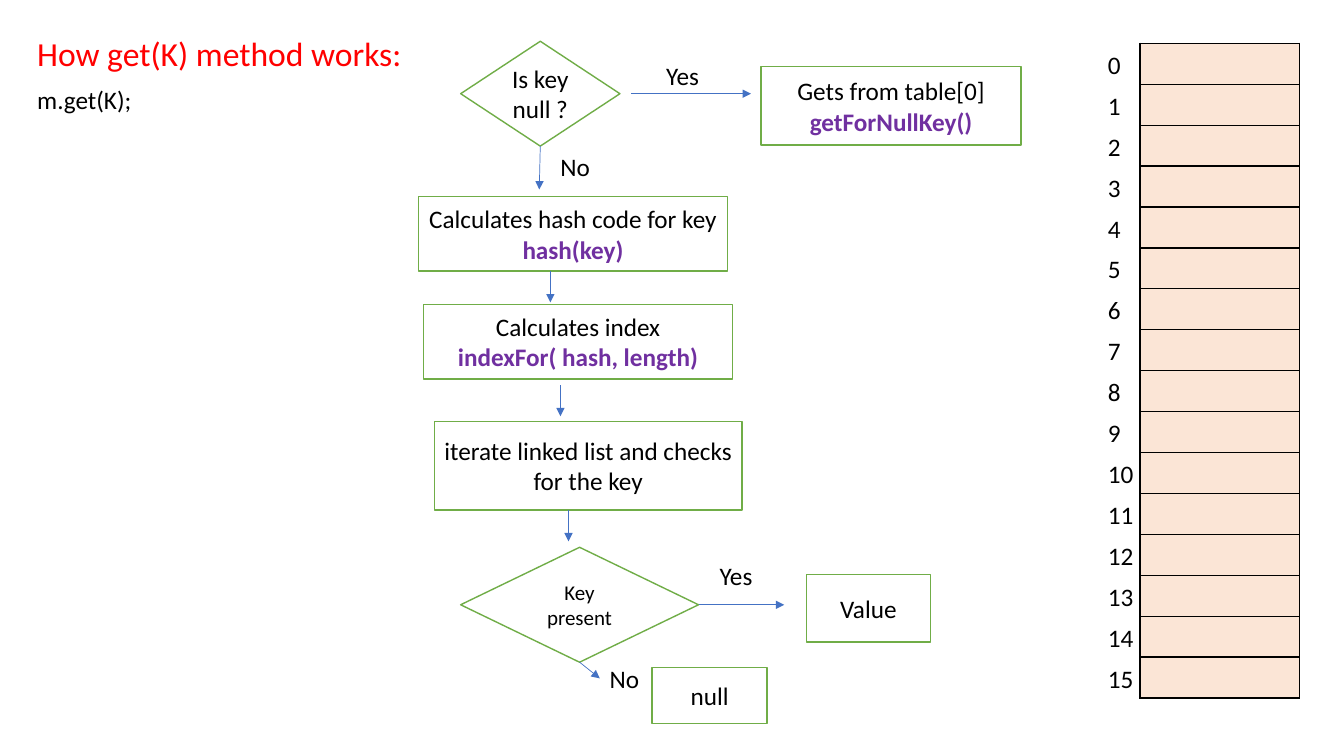
import pptx
import pptx.util
import pptx.dml.color
import pptx.enum.shapes
import pptx.enum.text
import pptx.oxml.ns
from lxml import etree

HUES = {"red": "FF0000", "ink": "000000", "call": "7030A0", "edge": "70AD47",
        "arrow": "4472C4", "page": "FFFFFF", "cell": "FBE5D6"}
COLS, ROWS = 133.33, 75
UNIT = pptx.util.Inches(0.1)
PLAIN = "{2D5ABB26-0587-4C30-8999-92F81FD0307C}"
KIND = pptx.enum.shapes.MSO_SHAPE
SIDE = pptx.enum.text.PP_ALIGN
qn = pptx.oxml.ns.qn


def grid(*cells):
    return [round(cell * UNIT) for cell in cells]


def rgb(name):
    return pptx.dml.color.RGBColor.from_string(HUES[name])


def write(frame, text, size=18, hue="ink", bold=False, align=SIDE.LEFT, lead=1, before=0):
    para = frame.paragraphs[0]
    if para.runs:
        para = frame.add_paragraph()
    para.alignment = align
    para.line_spacing = lead
    para.space_before = pptx.util.Pt(before)
    run = para.add_run()
    run.text = text
    font = run.font
    font.name, font.size, font.bold = "Calibri", pptx.util.Pt(size), bold
    font.color.rgb = rgb(hue)


def label(slide, box, text):
    frame = slide.shapes.add_textbox(*grid(*box)).text_frame
    frame.word_wrap = True
    write(frame, text)


def node(slide, kind, box, text, call=None, size=18):
    shape = slide.shapes.add_shape(kind, *grid(*box))
    shape.shadow.inherit = False
    shape.fill.solid()
    shape.fill.fore_color.rgb = rgb("page")
    shape.line.color.rgb = rgb("edge")
    shape.line.width = pptx.util.Pt(1)
    frame = shape.text_frame
    frame.word_wrap = True
    frame.vertical_anchor = pptx.enum.text.MSO_ANCHOR.MIDDLE
    write(frame, text, size=size, align=SIDE.CENTER)
    if call:
        write(frame, call, hue="call", bold=True, align=SIDE.CENTER)
    return shape


def arrow(slide, start, end, source=None, site=2):
    line = slide.shapes.add_connector(
        pptx.enum.shapes.MSO_CONNECTOR.STRAIGHT, *grid(*start, *end))
    if source:
        line.begin_connect(source, site)
    line.line.color.rgb = rgb("arrow")
    line.line.width = pptx.util.Pt(0.5)
    etree.SubElement(line.line._get_or_add_ln(), qn("a:tailEnd"), type="triangle")
    etree.SubElement(line._element.spPr, qn("a:effectLst"))


def head(slide, box):
    frame = slide.shapes.add_textbox(*grid(*box)).text_frame
    frame.word_wrap = True
    write(frame, "How get(K) method works:", size=24, hue="red", lead=0.9)
    write(frame, "m.get(K);", lead=0.9, before=10)


def flow(slide, box):
    left, top = box[:2]

    def at(x, y, *size):
        return (left + x, top + y, *size)

    test = node(slide, KIND.DIAMOND, at(4.2, 0, 15.8, 10.4), "Is key null ?")
    found = node(slide, KIND.DIAMOND, at(4.2, 50.2, 23.6, 11.4), "Key present", size=15)
    for place, text, call in [
        ((34, 2.5, 25.8, 7.8), "Gets from table[0]", "getForNullKey()"),
        ((0, 15.4, 30.7, 7.4), "Calculates hash code for key", "hash(key)"),
        ((0.5, 26.1, 30.7, 7.4), "Calculates index", "indexFor( hash, length)"),
        ((1.6, 37.7, 30.5, 8.8), "iterate linked list and checks for the key", None),
        ((38.5, 52.9, 12.3, 6.7), "Value", None),
        ((23.2, 62.1, 11.4, 5.6), "null", None),
    ]:
        node(slide, KIND.RECTANGLE, at(*place), text, call)
    for place, text in [
        ((23.6, 1.4, 7.4, 4), "Yes"), ((13.1, 10.4, 6.5, 4), "No"),
        ((28.9, 51, 7.4, 4), "Yes"), ((18, 61.2, 5.3, 4), "No"),
    ]:
        label(slide, at(*place), text)
    arrow(slide, at(21.1, 5.2), at(33, 5.2))
    for x, y in [(13.1, 22.8), (14.1, 34.1), (14.9, 46.5)]:
        arrow(slide, at(x, y), at(x, y + 3.1))
    arrow(slide, at(12.1, 10.4), at(12, 14.7), test)
    arrow(slide, at(16, 61.6), at(18, 63.2), found)
    arrow(slide, at(27.8, 55.9), at(36.3, 55.9), found, 3)


def column(slide, box, count):
    table = slide.shapes.add_table(count, 1, *grid(*box)).table
    table.first_row = table.horz_banding = False
    table._tbl.tblPr.find(qn("a:tableStyleId")).text = PLAIN
    for row in table.rows:
        row.height = round(box[3] * UNIT / count)
    return [row.cells[0] for row in table.rows]


def frame(cell):
    props = cell._tc.get_or_add_tcPr()
    for spot, side in enumerate(("lnL", "lnR", "lnT", "lnB")):
        line = etree.Element(qn("a:" + side), w=str(pptx.util.Pt(1)))
        fill = etree.SubElement(line, qn("a:solidFill"))
        etree.SubElement(fill, qn("a:srgbClr"), val=HUES["ink"])
        props.insert(spot, line)


def slots(slide, box, count=16):
    left, top, width, height = box
    for cell in column(slide, (left + 4.2, top, width - 4.2, height), count):
        cell.fill.solid()
        cell.fill.fore_color.rgb = rgb("cell")
        cell.text_frame.paragraphs[0].font.size = pptx.util.Pt(18)
        frame(cell)
    for index, cell in enumerate(column(slide, (left, top + 0.2, 4.8, height), count)):
        cell.fill.background()
        write(cell.text_frame, str(index))


def main():
    deck = pptx.Presentation()
    deck.slide_width, deck.slide_height = grid(COLS, ROWS)
    slide = deck.slides.add_slide(deck.slide_layouts[6])
    head(slide, (2.7, 3.2, 128.2, 69.2))
    slots(slide, (108.9, 4.3, 20, 65))
    flow(slide, (41.5, 4.1, 59.8, 67.7))
    deck.save("out.pptx")


if __name__ == "__main__":
    main()
